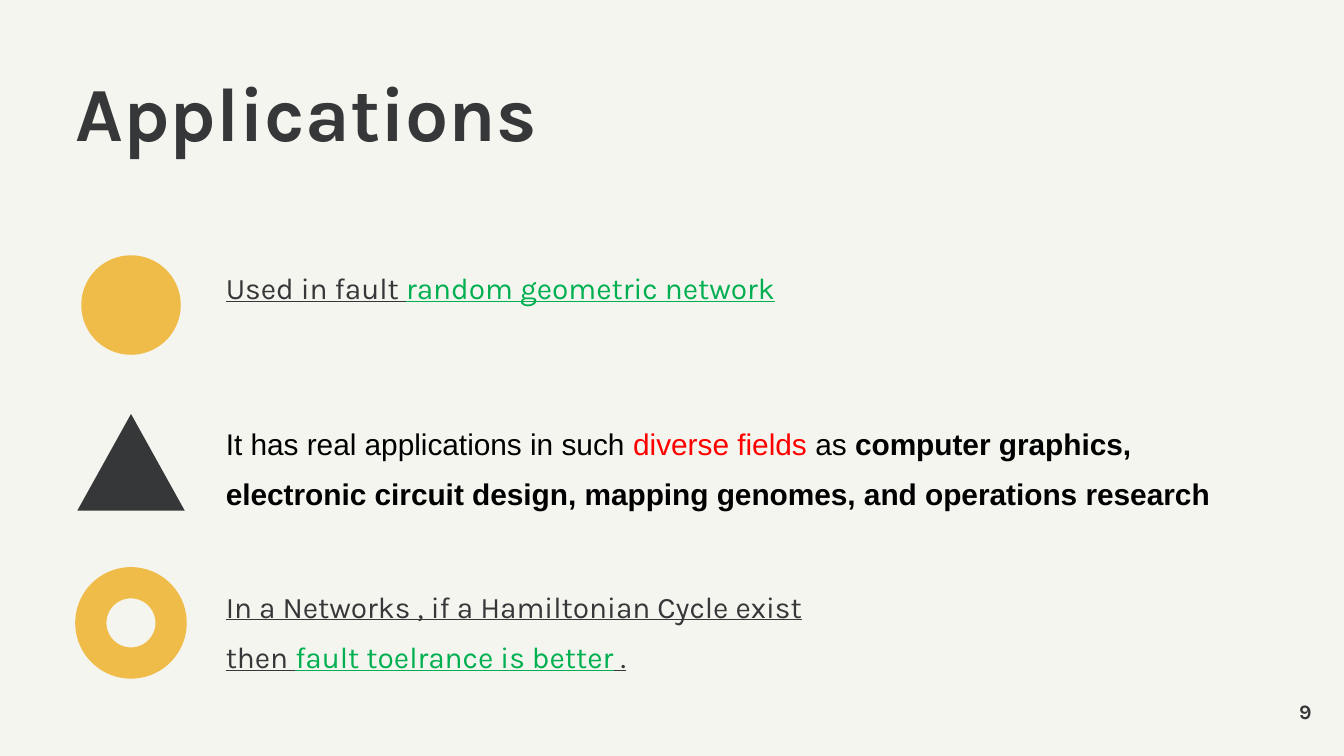
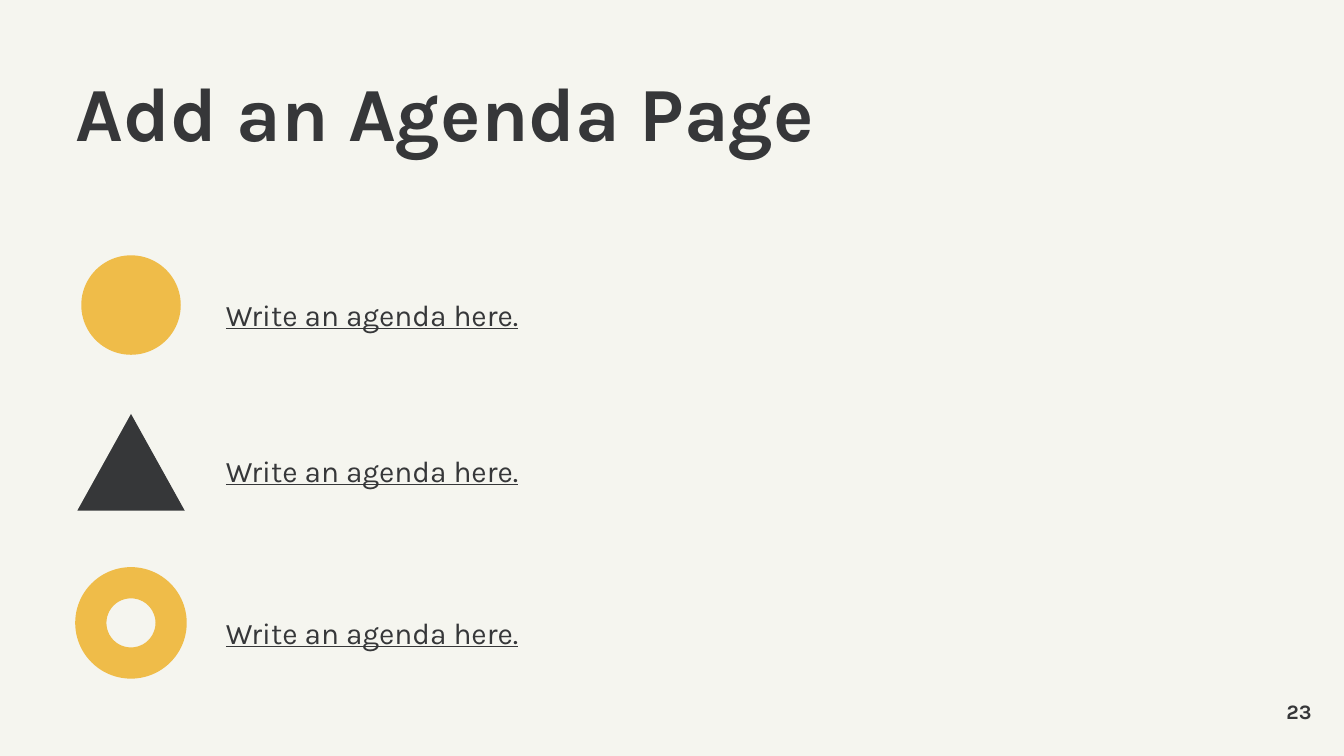
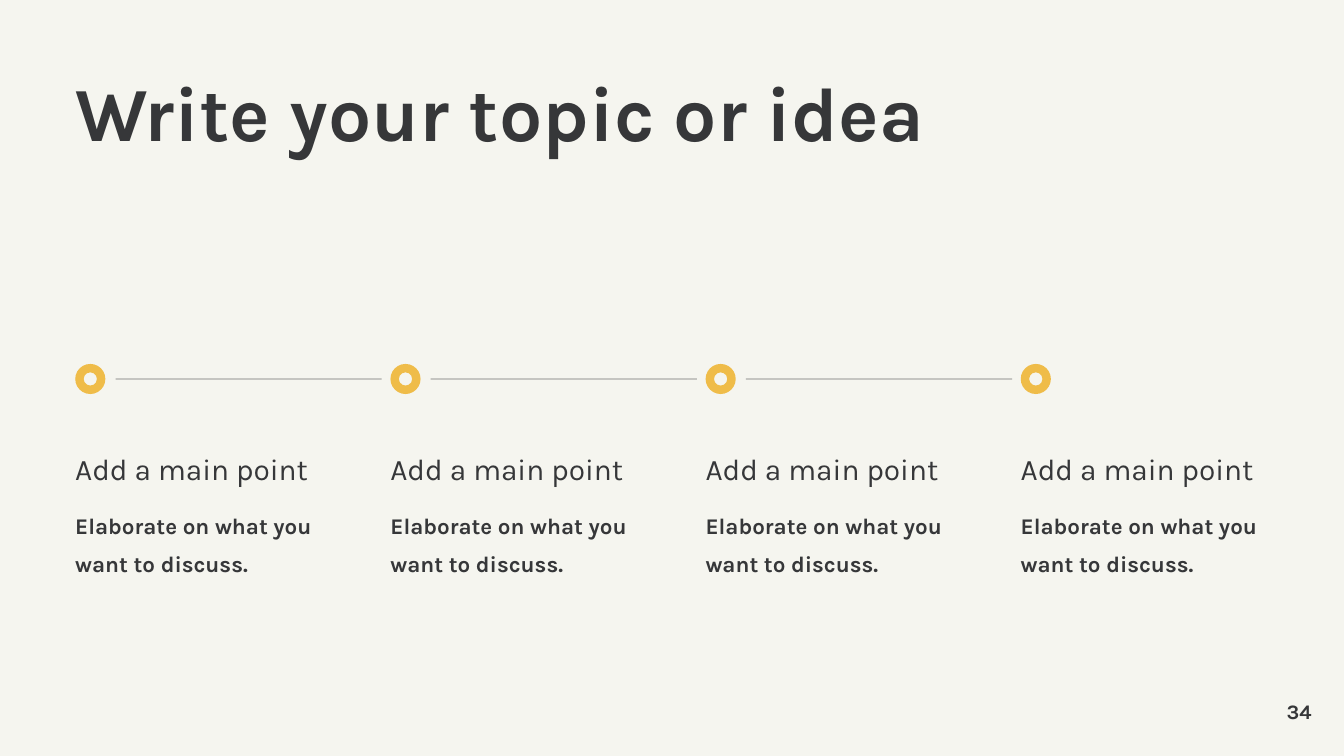
"""Build three slides: two icon lists and a timeline."""
from dataclasses import dataclass
from typing import Any

import lxml.etree
import pptx
import pptx.dml.color
import pptx.enum.shapes
import pptx.enum.text
import pptx.oxml.ns
import pptx.shapes.autoshape
import pptx.slide
import pptx.util

COLUMNS = 100
CELL = pptx.util.Inches(10) / COLUMNS
ROWS = COLUMNS * 9 / 16

COLOURS = {
    "paper": "F5F5EF",
    "ink": "363739",
    "amber": "EFBC49",
    "green": "00B050",
    "red": "FF0000",
    "black": "000000",
}

TITLE = {"name": "Karla", "size": pptx.util.Pt(41), "bold": True}
PAGE_NUMBER = {"name": "Karla", "size": pptx.util.Pt(11), "bold": True}
POINT = {"name": "Karla", "size": pptx.util.Pt(16)}
DETAIL = {"name": "Karla", "size": pptx.util.Pt(12), "bold": True}
ENTRY = {**POINT, "underline": True}
FACT = {**POINT, "name": "Arial"}
STRONG_FACT = {**FACT, "bold": True}

MARGIN = 5.6
ENTRY_LEFT = 16.8
ENTRY_TOPS = (21, 32.6, 44.7)
ICON_CENTRE = 9.75
RING_THICKNESS = 0.28
STEP_COUNT = 4
STEP_PITCH = 23.45
STEP_WIDTH = 18.4
TIMELINE_ROW = 28.2
STEP_RING = 2.24
LINK_START = 3
LINK_LENGTH = 19.8

Shape = pptx.enum.shapes.MSO_SHAPE
Align = pptx.enum.text.PP_ALIGN
Anchor = pptx.enum.text.MSO_ANCHOR
AutoSize = pptx.enum.text.MSO_AUTO_SIZE


@dataclass(frozen=True)
class Area:
    """A rectangle in grid columns and rows."""
    left: float
    top: float
    width: float
    height: float

    def lengths(self) -> tuple[int, ...]:
        """Return the rectangle in slide units."""
        return tuple(grid(value) for value in (self.left, self.top, self.width, self.height))


@dataclass(frozen=True)
class Span:
    """A stretch of text in one format."""
    text: str
    style: dict[str, Any]
    colour: str = "ink"


@dataclass(frozen=True)
class Icon:
    """A list marker centred on the icon column."""
    kind: Shape
    top: float
    width: float
    height: float
    colour: str


@dataclass(frozen=True)
class Entry:
    """One list text with its box size."""
    spans: tuple[Span, ...]
    width: float
    height: float


ICONS = (
    Icon(Shape.OVAL, 19, 7.4, 7.4, "amber"),
    Icon(Shape.ISOSCELES_TRIANGLE, 30.8, 8, 7.2, "ink"),
    Icon(Shape.DONUT, 42.2, 8.3, 8.3, "amber"),
)

APPLICATIONS = (
    Entry((Span("Used in fault ", ENTRY), Span("random geometric network", ENTRY, "green")), 42.9, 3.8),
    Entry((
        Span("It has real applications in such ", FACT, "black"),
        Span("diverse fields ", FACT, "red"),
        Span("as ", FACT, "black"),
        Span("computer graphics, electronic circuit design, mapping genomes, and operations research",
             STRONG_FACT, "black"),
    ), 74.8, 7.5),
    Entry((
        Span("In a Networks , if a Hamiltonian Cycle exist then ", ENTRY),
        Span("fault toelrance is better", ENTRY, "green"),
        Span(" .", ENTRY),
    ), 42.9, 7.5),
)

AGENDA = (Entry((Span("Write an agenda here.", ENTRY),), 42.9, 2.7),) * len(ICONS)


def grid(cells: float) -> int:
    """Turn grid cells into slide units."""
    return round(cells * CELL)


def rgb(name: str) -> pptx.dml.color.RGBColor:
    """Look up a named colour."""
    return pptx.dml.color.RGBColor.from_string(COLOURS[name])


def add_text(shapes: Any, area: Area, spans: tuple[Span, ...], spacing: float = 1.4,
             auto_size: AutoSize = AutoSize.SHAPE_TO_FIT_TEXT,
             align: Align = Align.LEFT, anchor: Anchor = Anchor.TOP) -> None:
    """Add a text box without insets holding one paragraph."""
    frame = shapes.add_textbox(*area.lengths()).text_frame
    settings = {"word_wrap": True, "auto_size": auto_size, "vertical_anchor": anchor,
                "margin_left": 0, "margin_top": 0, "margin_right": 0, "margin_bottom": 0}
    for name, value in settings.items():
        setattr(frame, name, value)
    para = frame.paragraphs[0]
    para.alignment = align
    para.line_spacing = spacing
    for span in spans:
        run = para.add_run()
        run.text = span.text
        for name, value in span.style.items():
            setattr(run.font, name, value)
        run.font.color.rgb = rgb(span.colour)


def add_figure(shapes: Any, kind: Shape, area: Area, colour: str) -> pptx.shapes.autoshape.Shape:
    """Add a filled shape without outline or shadow."""
    figure = shapes.add_shape(kind, *area.lengths())
    figure.shadow.inherit = False
    figure.fill.solid()
    figure.fill.fore_color.rgb = rgb(colour)
    figure.line.fill.background()
    if kind == Shape.DONUT:
        figure.adjustments[0] = RING_THICKNESS
    return figure


def add_link(shapes: Any, left: float, right: float, row: float) -> None:
    """Add a thin, partly transparent horizontal line."""
    link = shapes.add_connector(pptx.enum.shapes.MSO_CONNECTOR.STRAIGHT,
                                grid(left), grid(row), grid(right), grid(row))
    link.line.width = pptx.util.Pt(0.75)
    link.line.color.rgb = rgb("ink")
    properties = link._element.spPr
    qn = pptx.oxml.ns.qn
    colour = next(properties.iter(qn("a:srgbClr")))
    lxml.etree.SubElement(colour, qn("a:alpha"), val="39000")
    lxml.etree.SubElement(properties, qn("a:effectLst"))


def add_page(deck: Any, title: str, number: int) -> pptx.slide.Slide:
    """Add a page with background, title and page number."""
    page = deck.slides.add_slide(deck.slide_layouts[6])
    page.background.fill.solid()
    page.background.fill.fore_color.rgb = rgb("paper")
    add_text(page.shapes, Area(MARGIN, 5.6, 70.9, 7.9), (Span(title, TITLE),), 0.9, AutoSize.NONE)
    add_text(page.shapes, Area(91.6, 51.9, 6, 2), (Span(str(number), PAGE_NUMBER),), 1.0,
             AutoSize.NONE, Align.RIGHT, Anchor.MIDDLE)
    return page


def add_list_page(deck: Any, title: str, number: int, entries: tuple[Entry, ...],
                  lift: float = 0) -> None:
    """Add a page of icons with a text beside each."""
    page = add_page(deck, title, number)
    for icon, entry, top in zip(ICONS, entries, ENTRY_TOPS):
        area = Area(ICON_CENTRE - icon.width / 2, icon.top, icon.width, icon.height)
        add_figure(page.shapes, icon.kind, area, icon.colour)
        add_text(page.shapes, Area(ENTRY_LEFT, top - lift, entry.width, entry.height), entry.spans)


def add_timeline_page(deck: Any, title: str, number: int) -> None:
    """Add a page of equally spaced steps joined by lines."""
    page = add_page(deck, title, number)
    for step in range(STEP_COUNT):
        left = MARGIN + step * STEP_PITCH
        ring = Area(left, TIMELINE_ROW - STEP_RING / 2, STEP_RING, STEP_RING)
        add_figure(page.shapes, Shape.DONUT, ring, "amber")
        if step < STEP_COUNT - 1:
            start = left + LINK_START
            add_link(page.shapes, start, start + LINK_LENGTH, TIMELINE_ROW)
        group = page.shapes.add_group_shape()
        add_text(group.shapes, Area(left, 32.5, STEP_WIDTH, 2.7), (Span("Add a main point", POINT),))
        add_text(group.shapes, Area(left, 37.3, STEP_WIDTH, 4.8),
                 (Span("Elaborate on what you want to discuss.", DETAIL),))


def main() -> None:
    """Build and save the deck."""
    deck = pptx.Presentation()
    deck.slide_width = grid(COLUMNS)
    deck.slide_height = grid(ROWS)
    add_list_page(deck, "Applications", 9, APPLICATIONS, lift=2)
    add_list_page(deck, "Add an Agenda Page", 23, AGENDA)
    add_timeline_page(deck, "Write your topic or idea", 34)
    deck.save("out.pptx")


if __name__ == "__main__":
    main()
